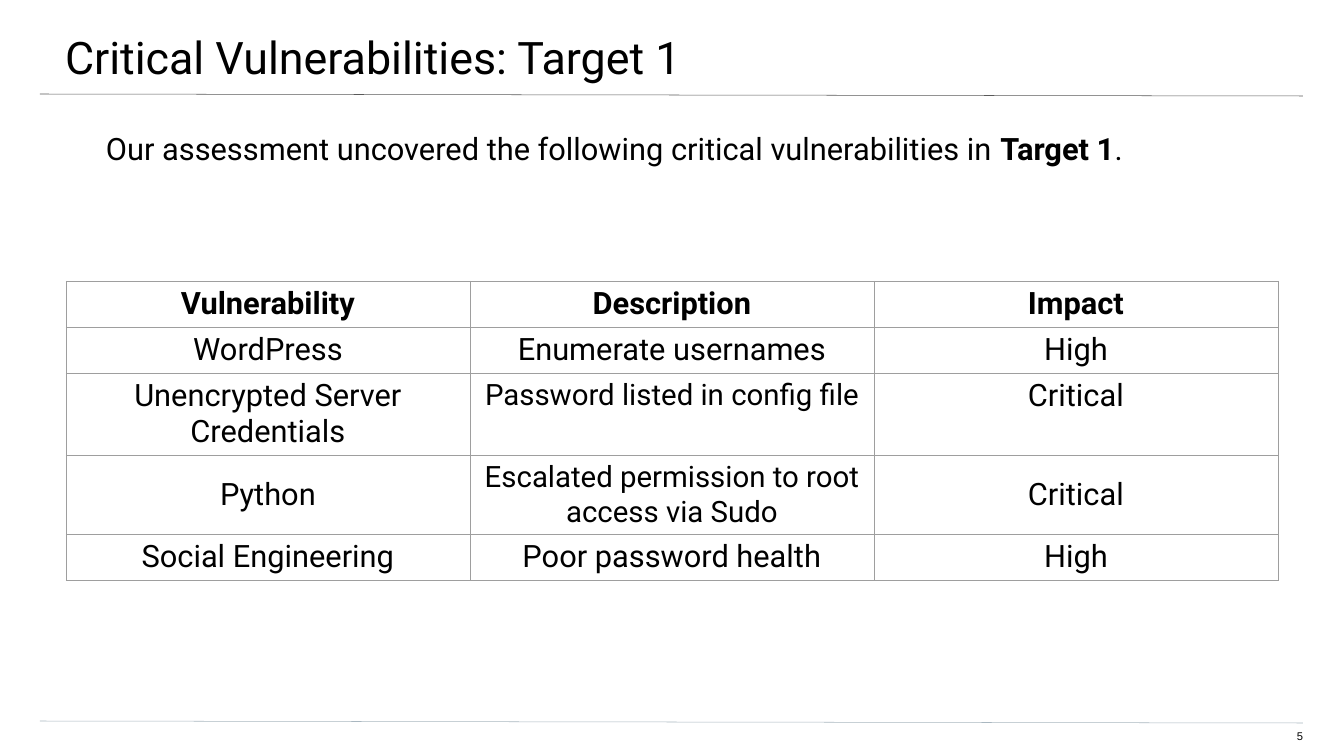
"""Build the slide of critical vulnerabilities found on Target 1."""
from pptx import Presentation
from pptx.dml.color import RGBColor
from pptx.enum import shapes, text as tx
from pptx.oxml import parse_xml
from pptx.oxml.ns import nsdecls
from pptx.util import Pt

PX = 18143
BLACK = RGBColor(0, 0, 0)
DARK = RGBColor(0x59, 0x59, 0x59)
PALE = RGBColor(0xA9, 0xB7, 0xC0)
GRID = RGBColor(0x9E, 0x9E, 0x9E)
LEFT, MID = tx.PP_ALIGN.LEFT, tx.PP_ALIGN.CENTER
TOP, HALF = tx.MSO_ANCHOR.TOP, tx.MSO_ANCHOR.MIDDLE

ROWS = [
    ("Vulnerability", "Description", "Impact"),
    ("WordPress", "Enumerate usernames", "High"),
    ("Unencrypted Server Credentials", "Password listed in config file", "Critical"),
    ("Python", "Escalated permission to root access via Sudo", "Critical"),
    ("Social Engineering", "Poor password health", "High"),
]
HIGH = (46, 46, 82, 79, 46)
SMALL = {(2, 1), (3, 1)}
CENTRED = {(3, 0), (3, 2)}


def write(para, words, size=44, face="Roboto", bold=False, align=LEFT):
    para.alignment = align
    para.space_before = Pt(0)
    run = para.add_run()
    run.text = words
    font = run.font
    font.size, font.name, font.bold = Pt(size), face, bold
    font.color.rgb = BLACK


class Deck:
    def __init__(self, wide, high):
        self.prs = Presentation()
        self.prs.slide_width, self.prs.slide_height = wide * PX, high * PX
        self.slide = self.prs.slides.add_slide(self.prs.slide_layouts[1])

    def place(self, shape, box, pads):
        shape.left, shape.top, shape.width, shape.height = (n * PX for n in box)
        frame = shape.text_frame
        frame.auto_size = tx.MSO_AUTO_SIZE.NONE
        frame.word_wrap = True
        frame.vertical_anchor = TOP
        (frame.margin_left, frame.margin_top,
         frame.margin_right, frame.margin_bottom) = (n * PX for n in pads)
        return frame.paragraphs[0]

    def title(self, words, box, pads):
        write(self.place(self.slide.shapes.title, box, pads), words, size=64)

    def body(self, parts, box, pads):
        para = self.place(self.slide.placeholders[1], box, pads)
        props = para._p.get_or_add_pPr()
        props.set("marL", "0")
        props.set("indent", "0")
        props.append(parse_xml(f"<a:buNone {nsdecls('a')}/>"))
        for words, bold in parts:
            write(para, words, bold=bold)

    def label(self, words, box, pads, **style):
        shape = self.slide.shapes.add_textbox(0, 0, PX, PX)
        write(self.place(shape, box, pads), words, **style)

    def rule(self, left, top, right, low, color):
        line = self.slide.shapes.add_connector(
            shapes.MSO_CONNECTOR.STRAIGHT, *(n * PX for n in (left, top, right, low)))
        line.line.color.rgb, line.line.width = color, Pt(0.75)
        line._element.spPr.append(parse_xml(f"<a:effectLst {nsdecls('a')}/>"))

    def edge(self, cell):
        props = cell._tc.get_or_add_tcPr()
        for spot, side in enumerate("LRTB"):
            props.insert(spot, parse_xml(
                f'<a:ln{side} {nsdecls("a")} w="{Pt(0.75)}"><a:solidFill>'
                f'<a:srgbClr val="{GRID}"/></a:solidFill></a:ln{side}>'))

    def table(self, left, top, wide):
        cols = len(ROWS[0])
        grid = self.slide.shapes.add_table(
            len(ROWS), cols, left * PX, top * PX, wide * cols * PX, sum(HIGH) * PX).table
        grid.first_row = grid.horz_banding = False
        for col in grid.columns:
            col.width = wide * PX
        for r, (row, high) in enumerate(zip(ROWS, HIGH)):
            grid.rows[r].height = high * PX
            for c, words in enumerate(row):
                cell = grid.cell(r, c)
                cell.fill.background()
                cell.margin_left = cell.margin_right = 5 * PX
                cell.margin_top = cell.margin_bottom = 5 * PX
                cell.vertical_anchor = HALF if (r, c) in CENTRED else TOP
                write(cell.text_frame.paragraphs[0], words, bold=r == 0, align=MID,
                      size=42 if (r, c) in SMALL else 44)
                self.edge(cell)


def main():
    deck = Deck(1344, 756)
    deck.rule(40, 94, 1303, 96, DARK)
    deck.rule(40, 721, 1303, 723, PALE)
    deck.title("Critical Vulnerabilities: Target 1", (-2, 0, 1347, 79), (67, 30, 40, 13))
    deck.label("5", (1265, 729, 38, 16), (0, 0, 0, 13),
               size=16, face="Arial", align=tx.PP_ALIGN.RIGHT)
    deck.body([("Our assessment uncovered the following critical vulnerabilities in ", False),
               ("Target 1", True), (".", False)], (39, 127, 1265, 544), (67, 3, 67, 135))
    deck.table(66, 281, 404)
    deck.prs.save("out.pptx")


if __name__ == "__main__":
    main()
